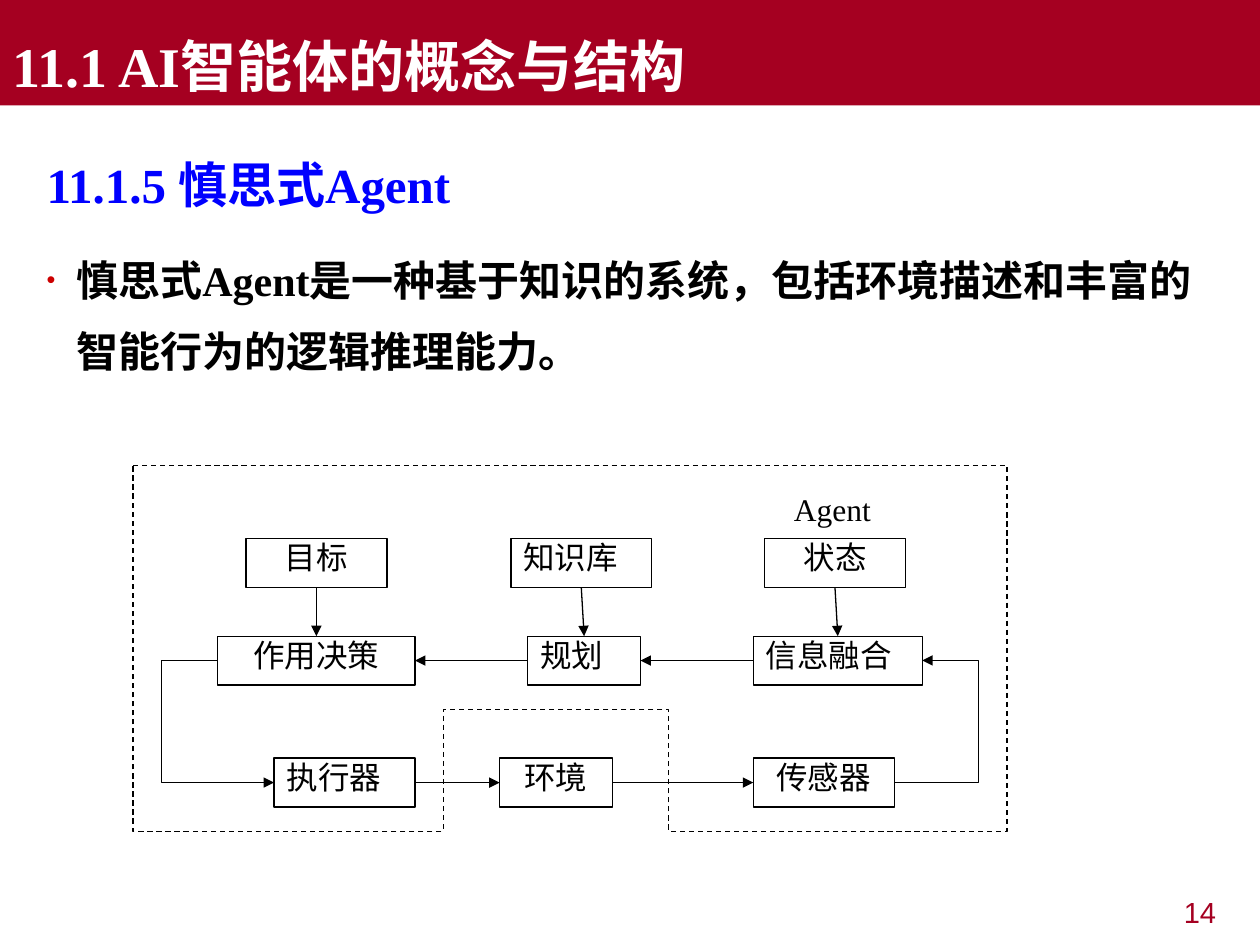
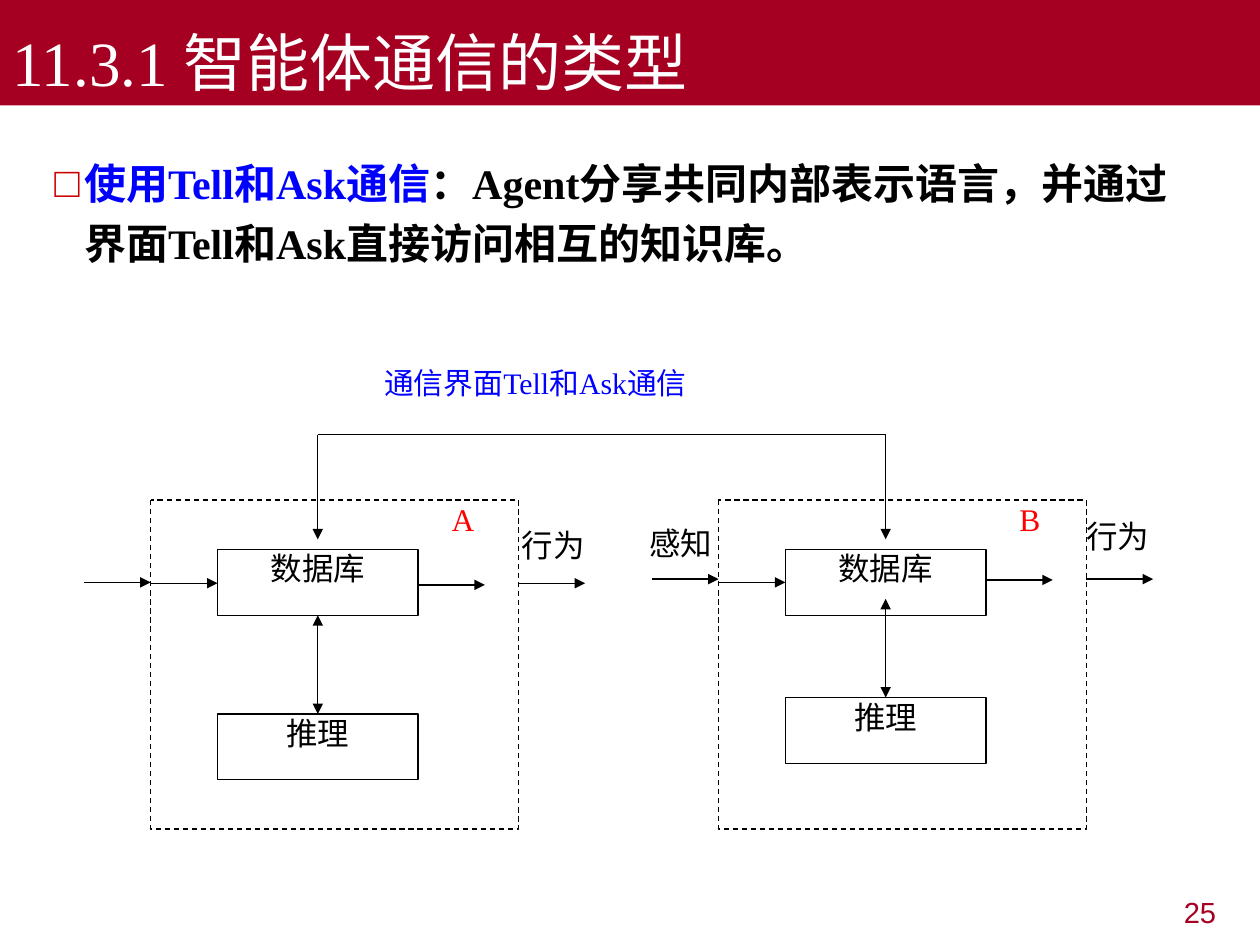
from collections import namedtuple
from dataclasses import dataclass

from lxml import etree
from pptx import Presentation
from pptx.dml.color import RGBColor
from pptx.enum import dml, shapes, text
from pptx.oxml import ns
from pptx.util import Pt

Box = namedtuple("Box", "left top width height")


@dataclass(frozen=True)
class Theme:
    band: str = "A50021"
    black: str = "000000"
    white: str = "FFFFFF"
    blue: str = "0000FF"
    red: str = "FF0000"
    bullet: str = "CC0000"
    serif: str = "Times New Roman"
    sans: str = "Arial"
    heading: float = 28
    body: float = 24
    diagram: float = 18
    caption: float = 17
    page: float = 16.6
    line: float = 0.75
    inset: float = 7.2


THEME = Theme()
ALIGN = text.PP_ALIGN
TITLE_BOX = Box(0, 0, 720, 60.2)
PAGE_BOX = Box(545.8, 509.8, 156.2, 28)


# Text and shape helpers
def points(*values):
    return [Pt(round(value, 2)) for value in values]


def rgb(color):
    return RGBColor.from_string(color)


def xml_child(parent, tag, **attributes):
    return etree.SubElement(parent, ns.qn(tag), attributes)


def write(paragraph, content, *, size=THEME.diagram, color=THEME.black, font=THEME.serif,
          bold=False, align=ALIGN.LEFT, line_spacing=1.0, before=0):
    paragraph.alignment = align
    paragraph.line_spacing = line_spacing
    paragraph.space_before = Pt(before)
    run = paragraph.add_run()
    run.text = content
    run.font.size = Pt(size)
    run.font.name = font
    run.font.bold = bold
    run.font.color.rgb = rgb(color)


def set_bullet(paragraph, character=None, percent=100, indent=17):
    properties = paragraph._p.get_or_add_pPr()
    hang = Pt(indent if character else 0)
    properties.set("marL", str(hang))
    properties.set("indent", str(-hang))
    if not character:
        xml_child(properties, "a:buNone")
        return
    xml_child(xml_child(properties, "a:buClr"), "a:srgbClr", val=THEME.bullet)
    xml_child(properties, "a:buSzPct", val=str(percent * 1000))
    xml_child(properties, "a:buFont", typeface=THEME.sans)
    xml_child(properties, "a:buChar", char=character)


def set_frame(frame, side=THEME.inset, top=3.6, bottom=3.6, anchor=text.MSO_ANCHOR.TOP):
    frame.word_wrap = True
    frame.auto_size = text.MSO_AUTO_SIZE.NONE
    frame.vertical_anchor = anchor
    frame.margin_left = frame.margin_right = Pt(side)
    frame.margin_top, frame.margin_bottom = Pt(top), Pt(bottom)
    return frame


def place(shape, box):
    shape.left, shape.top, shape.width, shape.height = points(*box)


def add_label(slide, box, content, side=0, top=0, bottom=0, **style):
    shape = slide.shapes.add_textbox(*points(*box))
    frame = set_frame(shape.text_frame, side, top, bottom)
    write(frame.paragraphs[0], content, **style)


def style_line(shape):
    shape.line.color.rgb = rgb(THEME.black)
    shape.line.width = Pt(THEME.line)


def add_process(slide, box, content, align=ALIGN.CENTER):
    shape = slide.shapes.add_shape(shapes.MSO_SHAPE.FLOWCHART_PROCESS, *points(*box))
    shape.shadow.inherit = False
    shape.fill.solid()
    shape.fill.fore_color.rgb = rgb(THEME.white)
    style_line(shape)
    frame = set_frame(shape.text_frame, top=0, bottom=0)
    write(frame.paragraphs[0], content, align=align)


def add_arrow(slide, start, end, head=False, tail=True, bend=None):
    """Draw a straight line, or an elbow whose middle lies at bend times its width."""
    kind = shapes.MSO_CONNECTOR.STRAIGHT if bend is None else shapes.MSO_CONNECTOR.ELBOW
    connector = slide.shapes.add_connector(kind, *points(*start, *end))
    style_line(connector)
    line = connector.line._get_or_add_ln()
    for tag, wanted in (("a:headEnd", head), ("a:tailEnd", tail)):
        if wanted:
            xml_child(line, tag, type="triangle")
    properties = connector._element.spPr
    xml_child(properties, "a:effectLst")
    if bend is not None:
        adjustments = properties.find(".//" + ns.qn("a:avLst"))
        xml_child(adjustments, "a:gd", name="adj1", fmla=f"val {bend * 100000}")


def add_dashed_outline(slide, corners):
    first, *rest = [points(*corner) for corner in corners]
    builder = slide.shapes.build_freeform(*first)
    builder.add_line_segments(rest, close=True)
    shape = builder.convert_to_shape()
    shape.shadow.inherit = False
    shape.fill.background()
    style_line(shape)
    shape.line.dash_style = dml.MSO_LINE.DASH


# Shared parts: title band, body placeholder and page number
def add_base_slide(presentation, title, page, body_box, **title_style):
    slide = presentation.slides.add_slide(presentation.slide_layouts[1])
    band = slide.shapes.title
    place(band, TITLE_BOX)
    band.fill.solid()
    band.fill.fore_color.rgb = rgb(THEME.band)
    frame = set_frame(band.text_frame, anchor=text.MSO_ANCHOR.BOTTOM)
    write(frame.paragraphs[0], title, color=THEME.white, **title_style)
    body = slide.placeholders[1]
    place(body, body_box)
    add_label(slide, PAGE_BOX, page, side=THEME.inset, top=3.6, bottom=3.6,
              size=THEME.page, font=THEME.sans, color=THEME.band,
              align=ALIGN.RIGHT, line_spacing=0.9)
    return slide, set_frame(body.text_frame)


# Deliberative agent: a grid of 31 columns and 15 rows
def draw_deliberative_agent(slide, box):
    column, row = box.width / 31, box.height / 15

    def at(x, y):
        return box.left + x * column, box.top + y * row

    def cell(x, y, width, height=2):
        return Box(*at(x, y), width * column, height * row)

    center, justify = ALIGN.CENTER, ALIGN.JUSTIFY
    for content, x, y, width, align in (
        ("目标", 4, 3, 5, center),
        ("知识库", 13.4, 3, 5, justify),
        ("状态", 22.4, 3, 5, center),
        ("作用决策", 3, 7, 7, center),
        ("规划", 14, 7, 4, justify),
        ("信息融合", 22, 7, 6, justify),
        ("执行器", 5, 12, 5, justify),
        ("环境", 13, 12, 4, center),
        ("传感器", 22, 12, 5, center),
    ):
        add_process(slide, cell(x, y, width), content, align)

    for start, end in (
        ((6.5, 5), (6.5, 7)), ((15.9, 5), (16, 7)), ((24.9, 5), (25, 7)),
        ((22, 8), (18, 8)), ((14, 8), (10, 8)),
        ((10, 13), (13, 13)), ((17, 13), (22, 13)),
    ):
        add_arrow(slide, at(*start), at(*end))
    add_arrow(slide, at(3, 8), at(5, 13), bend=-1)
    add_arrow(slide, at(27, 13), at(28, 8), bend=3)

    add_label(slide, cell(23, 1, 5, 3), "Agent", side=THEME.inset, align=justify)
    add_dashed_outline(slide, [at(*corner) for corner in (
        (0, 0), (31, 0), (31, 15), (19, 15), (19, 10), (11, 10), (11, 15), (0, 15))])


# Communicating agent: a grid of 11 columns and 20 rows
def draw_agent(slide, box, name, reasoning_row, arrow_rows, words):
    column, row = box.width / 11, box.height / 20

    def at(x, y):
        return box.left + x * column, box.top + y * row

    def cell(x, y, width):
        return Box(*at(x, y), width * column, 4 * row)

    add_dashed_outline(slide, [at(0, 0), at(0, 20), at(11, 20), at(11, 0)])
    add_process(slide, cell(2, 3, 6), "数据库")
    add_process(slide, cell(2, reasoning_row, 6), "推理")
    add_arrow(slide, at(5, reasoning_row - 6), at(5, reasoning_row), head=True)
    for x, y in zip((-2, 0, 8, 11), arrow_rows):
        add_arrow(slide, at(x, y), at(x + 2, y))
    add_label(slide, cell(9, 0, 3), name, color=THEME.red, align=ALIGN.JUSTIFY)
    for content, x, y in words:
        add_label(slide, cell(x, y, 3), content, align=ALIGN.JUSTIFY)


def draw_tell_and_ask(slide, box):
    agent_width, agent_top = 210.1, box.top + 37.4
    agent_height = box.height - 37.4
    agent_a = Box(box.left, agent_top, agent_width, agent_height)
    agent_b = agent_a._replace(left=box.left + box.width - agent_width)
    draw_agent(slide, agent_a, "A", 13, (5, 5.05, 5.15, 5.05), [("行为", 11.1, 1.6)])
    draw_agent(slide, agent_b, "B", 12, (4.8, 5, 4.85, 4.8),
               [("感知", -2.07, 1.45), ("行为", 11, 1)])

    # Link between the two knowledge bases
    ends = [agent.left + agent_width * 5 / 11 for agent in (agent_a, agent_b)]
    for x in ends:
        add_arrow(slide, (x, box.top), (x, box.top + 59.8))
    add_arrow(slide, (ends[0], box.top), (ends[1], box.top), tail=False)
    add_label(slide, Box(box.left + 133.4, box.top - 37.4, agent_width, 37.4),
              "通信界面Tell和Ask通信", size=THEME.caption, color=THEME.blue,
              align=ALIGN.JUSTIFY, line_spacing=0.9)


# Slides
def build_deliberative_slide(presentation):
    slide, frame = add_base_slide(presentation, "11.1 AI智能体的概念与结构", "14",
                                  Box(19.4, 71.3, 681, 425.5), size=32, bold=True)
    heading = frame.paragraphs[0]
    set_bullet(heading)
    write(heading, "11.1.5 慎思式Agent", size=THEME.heading, color=THEME.blue,
          bold=True, line_spacing=1.4)
    item = frame.add_paragraph()
    set_bullet(item, "•", percent=60)
    write(item, "慎思式Agent是一种基于知识的系统，包括环境描述和丰富的智能行为的逻辑推理能力。",
          size=THEME.body, bold=True, line_spacing=1.4, before=12)
    draw_deliberative_agent(slide, Box(76.1, 265.9, 499.3, 209.2))


def build_communication_slide(presentation):
    slide, frame = add_base_slide(presentation, "11.3.1 智能体通信的类型", "25",
                                  Box(23.8, 80.6, 666, 76.3), size=36)
    item = frame.paragraphs[0]
    set_bullet(item, "□")
    for content, color in (
        ("使用Tell和Ask通信", THEME.blue),
        ("：Agent分享共同内部表示语言，并通过界面Tell和Ask直接访问相互的知识库。", THEME.black),
    ):
        write(item, content, size=THEME.body, color=color, bold=True, line_spacing=1.2)
    draw_tell_and_ask(slide, Box(86.1, 248.4, 534.6, 225.4))


def main():
    presentation = Presentation()
    presentation.slide_width, presentation.slide_height = Pt(720), Pt(540)
    build_deliberative_slide(presentation)
    build_communication_slide(presentation)
    presentation.save("out.pptx")


if __name__ == "__main__":
    main()
